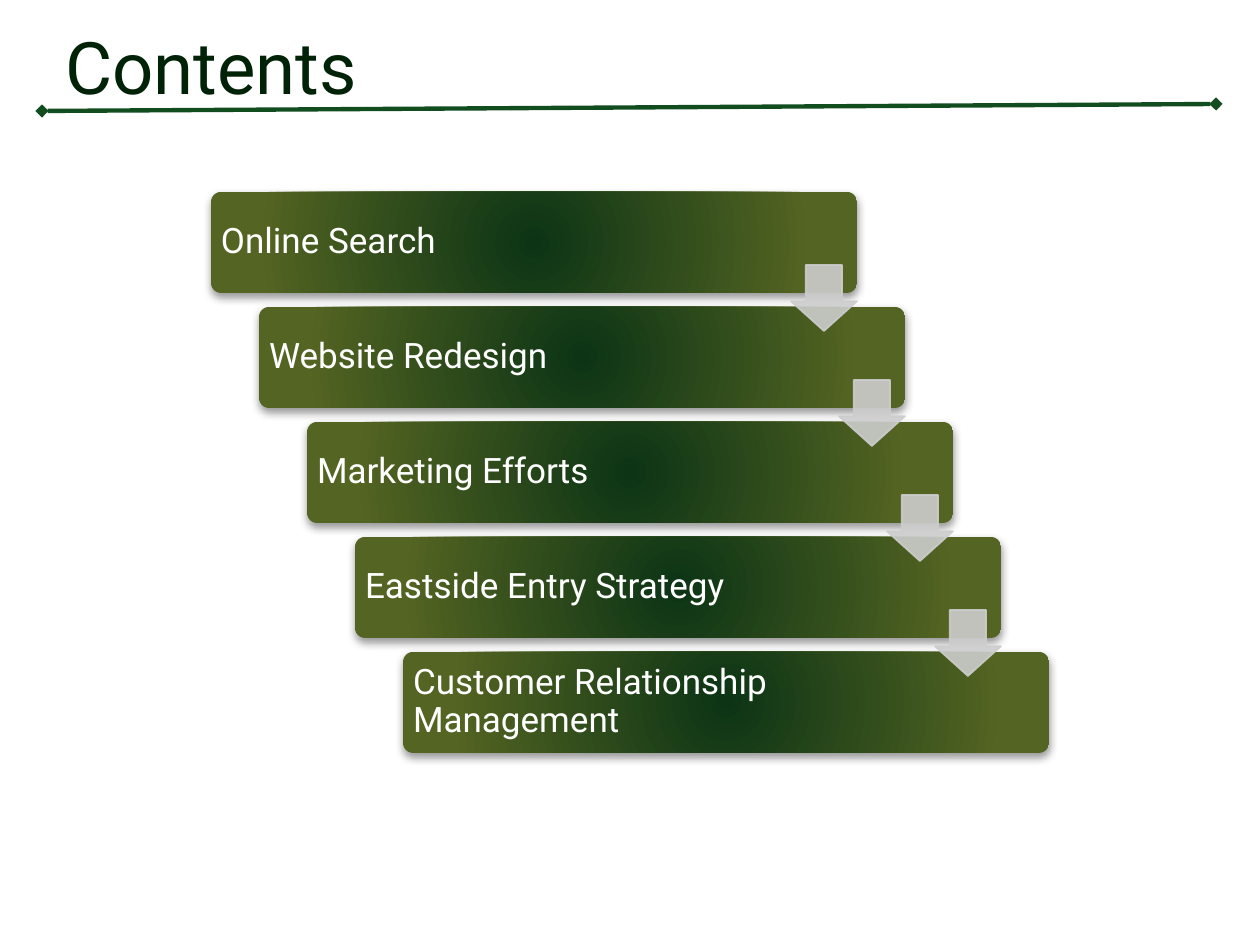
from dataclasses import dataclass

from pptx import Presentation
from pptx.dml.color import RGBColor
from pptx.enum.shapes import MSO_CONNECTOR, MSO_SHAPE
from pptx.enum.text import MSO_ANCHOR
from pptx.oxml import parse_xml
from pptx.oxml.ns import nsdecls, qn
from pptx.util import Pt

STRAIGHT = MSO_CONNECTOR.STRAIGHT
ROUNDED = MSO_SHAPE.ROUNDED_RECTANGLE
DOWN_ARROW = MSO_SHAPE.DOWN_ARROW
BOTTOM, MIDDLE = MSO_ANCHOR.BOTTOM, MSO_ANCHOR.MIDDLE
EMU_PER_PX = 914400 / 126


@dataclass(frozen=True)
class Theme:
    font: str = "Roboto"
    title_size: float = 41.4
    step_size: float = 20
    title: str = "002207"
    rule: str = "124D1F"
    bar_center: str = "0C3415"
    bar_edge: str = "546422"
    step_text: str = "FFFFFF"
    arrow: str = "CCCDCC"
    shadow: str = "000000"


def px(length):
    return round(length * EMU_PER_PX)


def xml(tag_text):
    """Parse a DrawingML element, adding the namespace to its root tag."""
    name, rest = tag_text.split(" ", 1)
    return parse_xml(f"{name} {nsdecls('a')} {rest}")


class SlideBuilder:
    def __init__(self, slide, theme):
        self.slide = slide
        self.theme = theme

    def text(self, box, words, size, color, anchor, inset=None):
        frame = self.slide.shapes.add_textbox(*map(px, box)).text_frame
        frame.word_wrap = True
        frame.vertical_anchor = anchor
        if inset is not None:
            frame.margin_left = frame.margin_right = px(inset)
            frame.margin_top = frame.margin_bottom = px(inset)
        frame.text = words
        paragraph = frame.paragraphs[0]
        paragraph.line_spacing = 0.9
        font = paragraph.runs[0].font
        font.name, font.size = self.theme.font, Pt(size)
        font.color.rgb = RGBColor.from_string(color)

    def rule(self, start, end):
        connector = self.slide.shapes.add_connector(STRAIGHT, *map(px, start + end))
        connector.line.color.rgb = RGBColor.from_string(self.theme.rule)
        connector.line.width = Pt(2.5)
        line = connector.line._get_or_add_ln()
        for end_tag in ("headEnd", "tailEnd"):
            line.append(xml(f'<a:{end_tag} type="diamond"/>'))
        connector._element.spPr.append(xml("<a:effectLst />"))

    def bar(self, box):
        shape = self.slide.shapes.add_shape(ROUNDED, *map(px, box))
        shape.adjustments[0] = 0.1
        shape.line.fill.background()
        shape.shadow.inherit = False
        properties = shape._element.spPr
        # Radial gradient, dark in the middle
        properties.find(qn("a:prstGeom")).addnext(xml(
            '<a:gradFill rotWithShape="1"><a:gsLst>'
            f'<a:gs pos="0"><a:srgbClr val="{self.theme.bar_center}"/></a:gs>'
            f'<a:gs pos="85000"><a:srgbClr val="{self.theme.bar_edge}"/></a:gs>'
            '</a:gsLst><a:path path="circle">'
            '<a:fillToRect l="100000" t="100000" r="100000" b="100000"/>'
            '</a:path></a:gradFill>'))
        # Soft shadow below
        properties.find(qn("a:effectLst")).append(xml(
            f'<a:outerShdw blurRad="{Pt(5)}" dist="{Pt(2)}" dir="5400000" rotWithShape="0">'
            f'<a:srgbClr val="{self.theme.shadow}"><a:alpha val="40000"/></a:srgbClr>'
            '</a:outerShdw>'))

    def arrow(self, box):
        shape = self.slide.shapes.add_shape(DOWN_ARROW, *map(px, box))
        shape.adjustments[0], shape.adjustments[1] = 0.55, 0.45
        shape.shadow.inherit = False
        color = RGBColor.from_string(self.theme.arrow)
        shape.fill.solid()
        shape.fill.fore_color.rgb = color
        shape.line.color.rgb = color
        shape.line.width = Pt(1)
        for color_element in shape._element.spPr.iter(qn("a:srgbClr")):
            color_element.append(xml('<a:alpha val="90000"/>'))


def main():
    presentation = Presentation()
    presentation.slide_width, presentation.slide_height = px(1260), px(945)
    slide = presentation.slides.add_slide(presentation.slide_layouts[6])
    theme = Theme()
    builder = SlideBuilder(slide, theme)

    # Title and rule
    builder.text((53, 21, 1113, 95), "Contents", theme.title_size, theme.title, BOTTOM)
    builder.rule((42, 111), (1216, 104))

    # Staircase of steps
    steps = ["Online Search", "Website Redesign", "Marketing Efforts",
             "Eastside Entry Strategy", "Customer Relationship Management"]
    corners = [(211 + 48 * index, 192 + 115 * index) for index in range(len(steps))]
    for (left, top), step in zip(corners, steps):
        builder.bar((left, top, 646, 101))
        builder.text((left, top, 533, 101), step, theme.step_size, theme.step_text,
                     MIDDLE, inset=10)

    # Arrows from each step to the next
    for left, top in corners[:-1]:
        builder.arrow((left + 580, top + 73, 66, 66))

    presentation.save("out.pptx")


if __name__ == "__main__":
    main()
